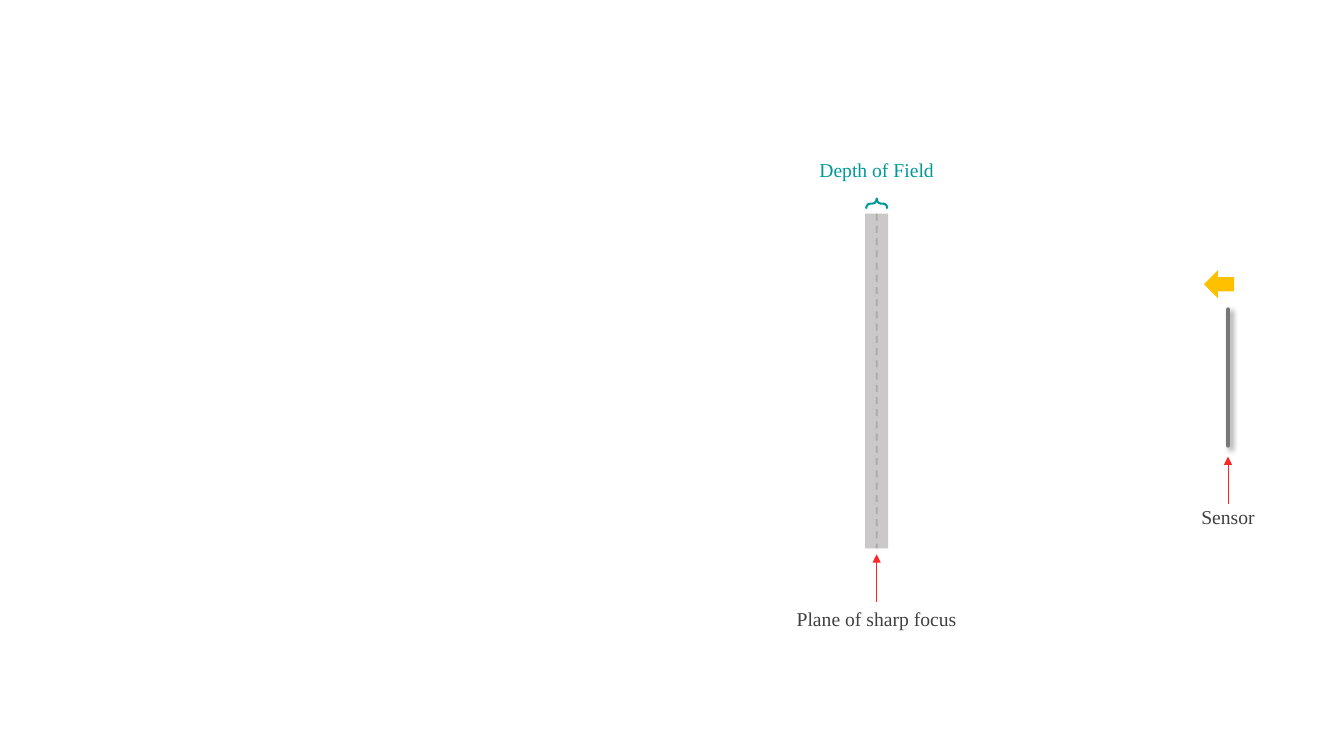
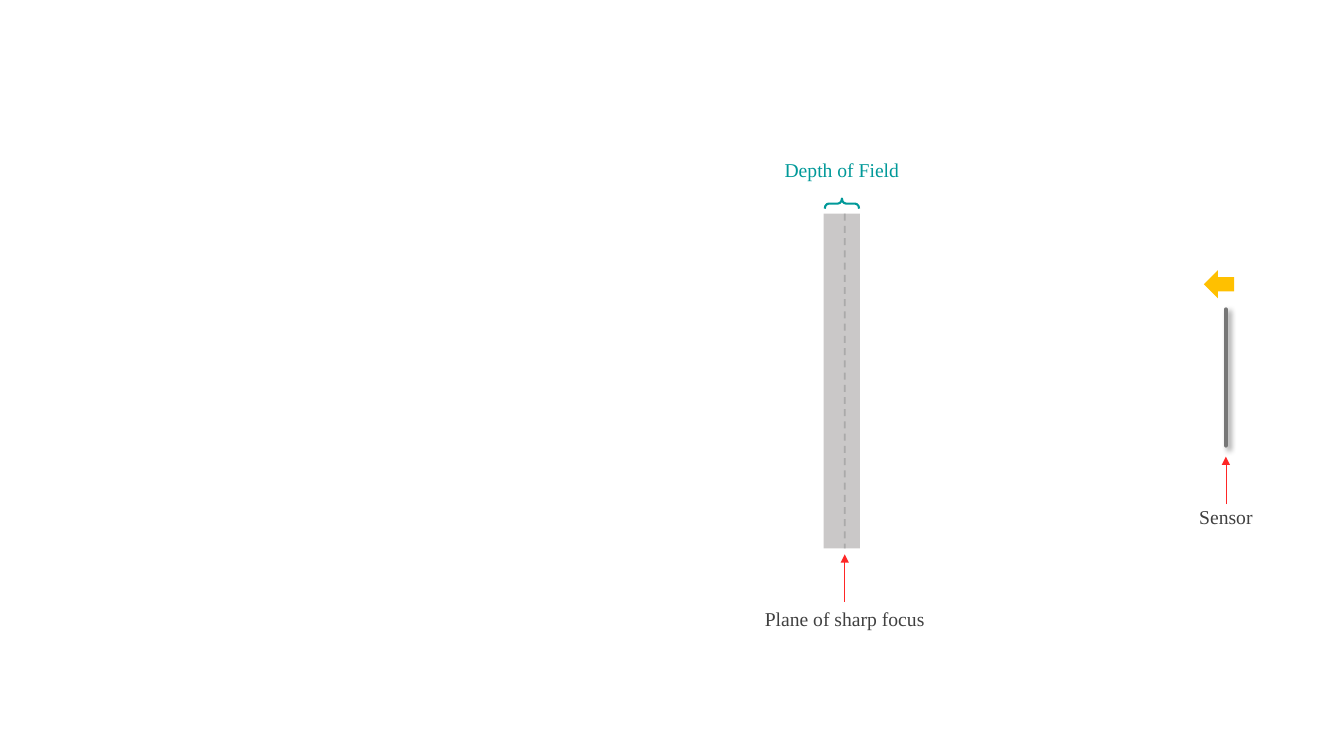
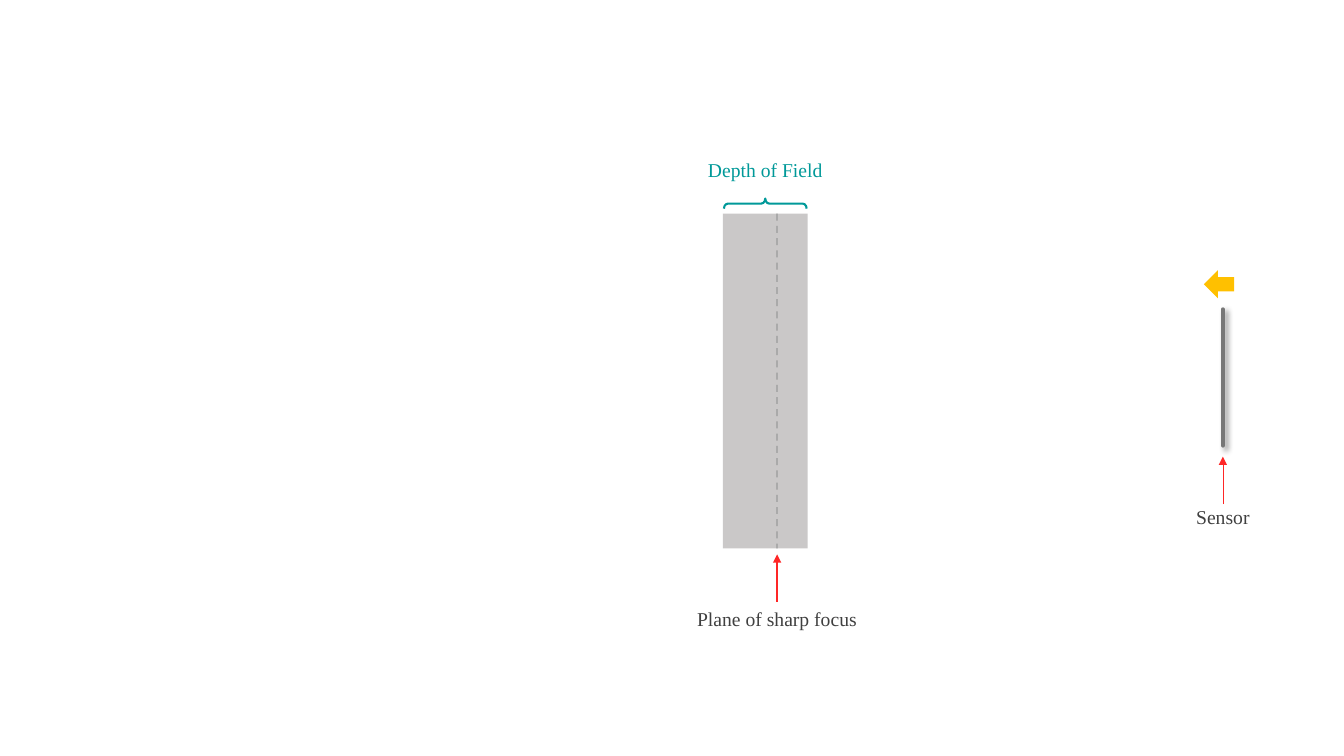
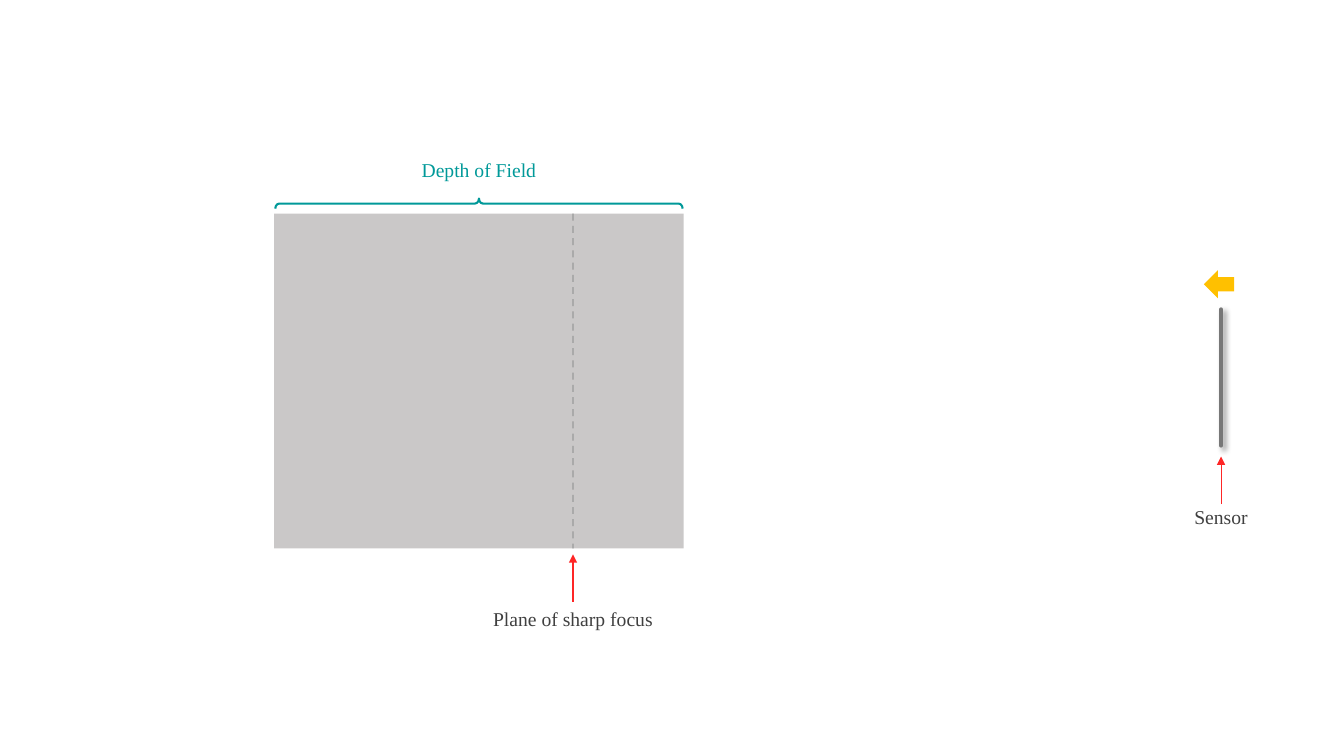
from dataclasses import dataclass

from lxml.etree import SubElement
from pptx import Presentation
from pptx.dml.color import RGBColor
from pptx.enum.dml import MSO_LINE
from pptx.enum.shapes import MSO_CONNECTOR, MSO_SHAPE
from pptx.enum.text import MSO_AUTO_SIZE, PP_ALIGN
from pptx.oxml.ns import qn
from pptx.util import Inches, Pt


@dataclass(frozen=True)
class Theme:
    font: str = "Times New Roman"
    text_size: int = 14
    background: str = "FFFFFF"
    text: str = "404040"
    depth: str = "009999"
    band: str = "767171"
    plane: str = "A6A6A6"
    sensor: str = "777777"
    pointer: str = "FE2626"
    motion: str = "FFC000"
    shadow: str = "000000"


@dataclass(frozen=True)
class Box:
    left: float
    top: float
    width: float
    height: float

    def across(self, share):
        return self.left + self.width * share

    def centred(self, share, top, width, height):
        return Box(self.across(share) - width / 2, self.top + top, width, height)

    def measures(self):
        return [grid(value) for value in (self.left, self.top, self.width, self.height)]


THEME = Theme()
ROWS = 75
SLIDE_WIDTH, SLIDE_HEIGHT = Inches(13.33), Inches(7.5)
LABEL_HEIGHT = 3.4
SENSOR_BOX = Box(119.4, 26.8, 3, 26.2)
STAGES = (
    (Box(85.8, 15.2, 2.3, 47.9), 0.5, 0.8),
    (Box(81.7, 15.2, 3.6, 47.9), 0.58, 0.73),
    (Box(71.7, 15.2, 8.4, 47.9), 0.64, 0.63),
    (Box(27.2, 15.2, 40.6, 47.9), 0.73, 0.57),
)


def grid(cells):
    return round(SLIDE_HEIGHT * cells / ROWS)


def set_opacity(fill_parent, percent):
    colour = fill_parent.find(".//" + qn("a:srgbClr"))
    SubElement(colour, qn("a:alpha"), val=str(percent * 1000))


def add_figure(page, kind, box, fill=None):
    figure = page.shapes.add_shape(kind, *box.measures())
    figure.shadow.inherit = False
    if fill:
        figure.fill.solid()
        figure.fill.fore_color.rgb = RGBColor.from_string(fill)
    else:
        figure.fill.background()
    figure.line.fill.background()
    return figure


def style_line(line, colour, width):
    line.color.rgb = RGBColor.from_string(colour)
    line.width = Pt(width)


def add_vertical(page, column, start, end, colour, width):
    x = grid(column)
    connector = page.shapes.add_connector(
        MSO_CONNECTOR.STRAIGHT, x, grid(start), x, grid(end)
    )
    style_line(connector.line, colour, width)
    effects = SubElement(connector._element.spPr, qn("a:effectLst"))
    return connector, effects


def line_element(connector):
    return connector._element.spPr.find(qn("a:ln"))


def add_pointer(page, column, start, end, width):
    pointer, _ = add_vertical(page, column, start, end, THEME.pointer, width)
    SubElement(line_element(pointer), qn("a:tailEnd"), type="triangle")


def add_label(page, box, text, colour):
    frame = page.shapes.add_textbox(*box.measures()).text_frame
    frame.word_wrap = False
    frame.auto_size = MSO_AUTO_SIZE.SHAPE_TO_FIT_TEXT
    frame.text = text
    para = frame.paragraphs[0]
    para.alignment = PP_ALIGN.CENTER
    font = para.runs[0].font
    font.name = THEME.font
    font.size = Pt(THEME.text_size)
    font.color.rgb = RGBColor.from_string(colour)


def add_brace(page, box):
    upright = Box(
        box.left + (box.width - box.height) / 2,
        box.top + (box.height - box.width) / 2,
        box.height,
        box.width,
    )
    brace = add_figure(page, MSO_SHAPE.LEFT_BRACE, upright)
    brace.rotation = 90
    brace.adjustments[0] = 0.4
    brace.adjustments[1] = 0.5
    style_line(brace.line, THEME.depth, 1.5)


def add_focus_region(page, box, plane_share):
    plane = box.across(plane_share)
    band_box = box.centred(0.5, 6, box.width, 33.2)
    band = add_figure(page, MSO_SHAPE.RECTANGLE, band_box, THEME.band)
    set_opacity(band._element.spPr, 38)
    dashes, _ = add_vertical(
        page, plane, band_box.top, band_box.top + band_box.height, THEME.plane, 1.25
    )
    dashes.line.dash_style = MSO_LINE.DASH
    set_opacity(dashes._element.spPr, 88)
    add_brace(page, box.centred(0.5, 4.5, box.width - 0.2, 1))
    add_label(page, box.centred(0.5, 0, 13.5, LABEL_HEIGHT), "Depth of Field", THEME.depth)
    caption = box.centred(plane_share, box.height - LABEL_HEIGHT, 18, LABEL_HEIGHT)
    add_label(page, caption, "Plane of sharp focus", THEME.text)
    add_pointer(page, plane, caption.top, caption.top - 4.7, 1)


def add_sensor_region(page, box, sensor_share):
    column = box.across(sensor_share)
    plate, effects = add_vertical(
        page, column, box.top + 3.9, box.top + 17.4, THEME.sensor, 3
    )
    line_element(plate).set("cap", "rnd")
    shadow = SubElement(
        effects,
        qn("a:outerShdw"),
        blurRad=str(Pt(4)),
        dist=str(Pt(3)),
        dir=str(45 * 60000),
        algn="tl",
        rotWithShape="0",
    )
    SubElement(shadow, qn("a:srgbClr"), val=THEME.shadow)
    set_opacity(effects, 40)
    motion_box = box.centred(0.5, 0, box.width, 2.8)
    add_figure(page, MSO_SHAPE.LEFT_ARROW, motion_box, THEME.motion)
    label = box.centred(sensor_share, box.height - LABEL_HEIGHT, 7.4, LABEL_HEIGHT)
    add_label(page, label, "Sensor", THEME.text)
    add_pointer(page, column, label.top + 0.4, label.top - 4.3, 0.5)


def main():
    deck = Presentation()
    deck.slide_width, deck.slide_height = SLIDE_WIDTH, SLIDE_HEIGHT
    background = deck.slide_master.background.fill
    background.solid()
    background.fore_color.rgb = RGBColor.from_string(THEME.background)
    blank_layout = deck.slide_layouts.get_by_name("Blank")
    for focus_box, plane_share, sensor_share in STAGES:
        page = deck.slides.add_slide(blank_layout)
        add_focus_region(page, focus_box, plane_share)
        add_sensor_region(page, SENSOR_BOX, sensor_share)
    deck.save("out.pptx")


if __name__ == "__main__":
    main()
